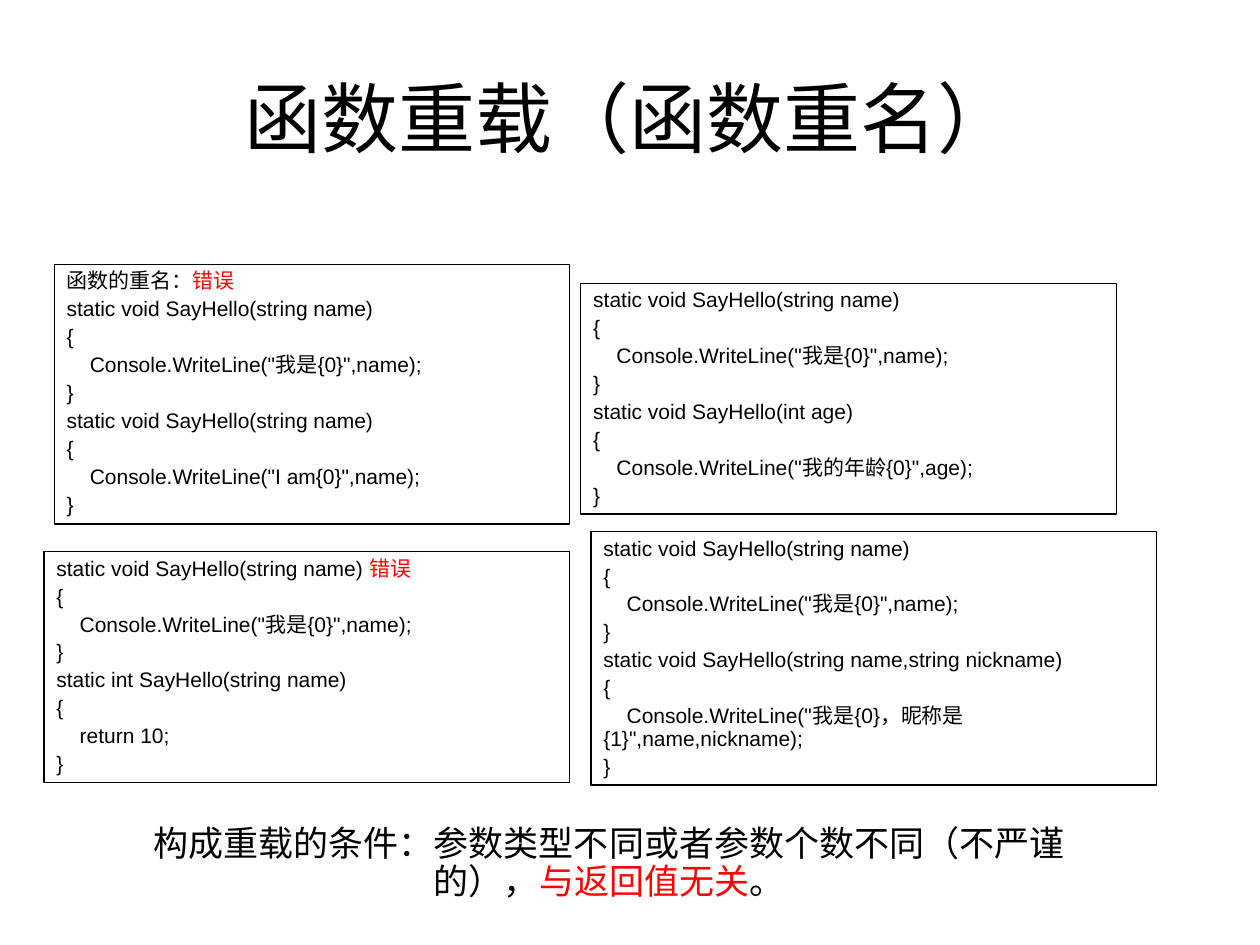
from pptx import Presentation
from pptx.util import Inches, Pt
from pptx.dml.color import RGBColor
from pptx.enum.shapes import MSO_SHAPE
from pptx.enum.text import MSO_ANCHOR, PP_ALIGN

RECT = MSO_SHAPE.RECTANGLE
TOP, MIDDLE = MSO_ANCHOR.TOP, MSO_ANCHOR.MIDDLE
LEFT, CENTER = PP_ALIGN.LEFT, PP_ALIGN.CENTER
COLORS = {"ink": "000000", "error": "FF0000"}
FONT = "Arial"


def color(name):
    """Return the named colour."""
    return RGBColor.from_string(COLORS[name])


def write(frame, lines, size, align=LEFT, gap=0, spacing=1.0, anchor=TOP):
    """Fill a frame with lines; each is a text or a list of (text, colour)."""
    frame.word_wrap = True
    frame.vertical_anchor = anchor
    for i, line in enumerate(lines):
        para = frame.paragraphs[0] if i == 0 else frame.add_paragraph()
        para.alignment = align
        para.line_spacing = spacing
        para.space_before = Pt(gap if i else 0)
        para.font.name = FONT
        para.font.size = Pt(size)
        para.font.color.rgb = color("ink")
        for text, hue in [(line, "ink")] if isinstance(line, str) else line:
            run = para.add_run()
            run.text = text
            if hue != "ink":
                run.font.color.rgb = color(hue)


def method(head, body):
    """Return the lines of one code method."""
    return [head, "{", "    " + body, "}"]


def add_title(slide, box, text):
    """Place the slide title."""
    frame = slide.shapes.add_textbox(*map(Inches, box)).text_frame
    write(frame, [text], 44, CENTER, anchor=MIDDLE)


def add_code(slide, box, lines):
    """Place an outlined box of code."""
    shape = slide.shapes.add_shape(RECT, *map(Inches, box))
    shape.shadow.inherit = False
    shape.fill.background()
    shape.line.color.rgb = color("ink")
    shape.line.width = Pt(0.75)
    write(shape.text_frame, lines, 12, gap=3, spacing=0.9)


def add_rule(slide, box, line):
    """Place the closing rule."""
    frame = slide.shapes.add_textbox(*map(Inches, box)).text_frame
    write(frame, [line], 20, CENTER, spacing=0.9)


def main():
    """Build and save the slide."""
    deck = Presentation()
    deck.slide_width, deck.slide_height = Inches(10), Inches(7.5)
    slide = deck.slides.add_slide(deck.slide_layouts[6])
    head = "static void SayHello(string name)"
    body = 'Console.WriteLine("我是{0}",name);'
    hello = method(head, body)
    wrong = ("错误", "error")

    add_title(slide, (0.5, 0.3, 9, 1.25), "函数重载（函数重名）")
    add_code(slide, (0.43, 2.1, 4.09, 2.06),
             [[("函数的重名：", "ink"), wrong]] + hello
             + method(head, 'Console.WriteLine("I am{0}",name);'))
    add_code(slide, (4.61, 2.25, 4.25, 1.83),
             hello + method("static void SayHello(int age)",
                            'Console.WriteLine("我的年龄{0}",age);'))
    add_code(slide, (0.35, 4.38, 4.17, 1.83),
             method([(head + " ", "ink"), wrong], body)
             + method("static int SayHello(string name)", "return 10;"))
    add_code(slide, (4.69, 4.22, 4.49, 2.01),
             hello + method(
                 "static void SayHello(string name,string nickname)",
                 'Console.WriteLine("我是{0}，昵称是{1}",name,nickname);'))
    add_rule(slide, (0.9, 6.51, 7.87, 0.7),
             [("构成重载的条件：参数类型不同或者参数个数不同（不严谨的），", "ink"),
              ("与返回值无关", "error"), ("。", "ink")])
    deck.save("out.pptx")


if __name__ == "__main__":
    main()
